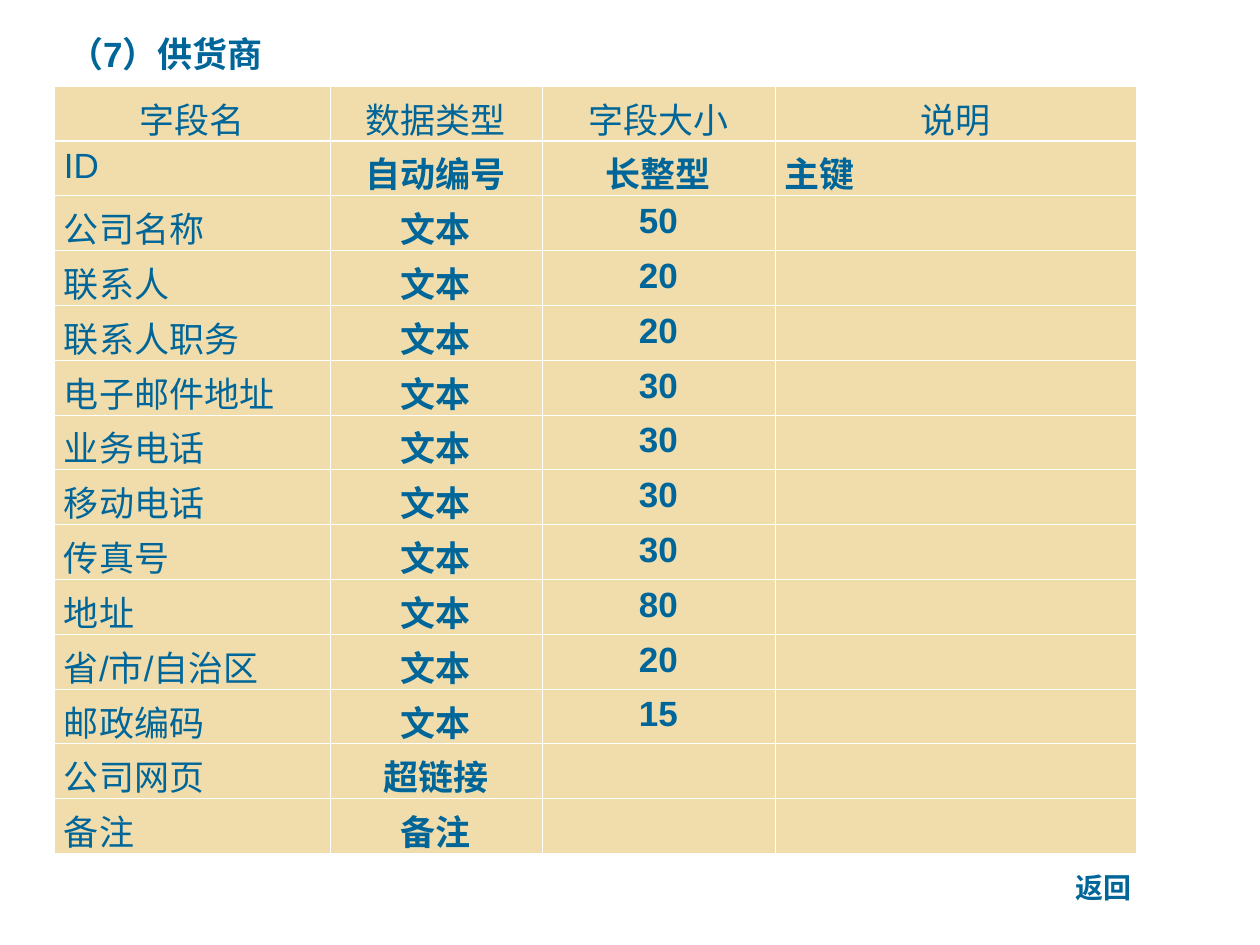
from dataclasses import dataclass

from lxml import etree
from pptx import Presentation
from pptx.dml.color import RGBColor
from pptx.enum.text import MSO_AUTO_SIZE, PP_ALIGN
from pptx.oxml.ns import qn
from pptx.util import Emu, Pt

CENTER, JUSTIFY = PP_ALIGN.CENTER, PP_ALIGN.JUSTIFY
FIT_SHAPE = MSO_AUTO_SIZE.SHAPE_TO_FIT_TEXT


@dataclass(frozen=True)
class Theme:
    font: str = "Arial"
    ink: str = "006699"
    cell: str = "F1DDAB"
    rule: str = "FFFFFF"
    body: int = 20
    small: int = 16
    thin: float = 0.45
    thick: float = 1.47


TITLE = "（7）供货商"
BACK = "返回"
HEADER = ("字段名", "数据类型", "字段大小", "说明")
FIELDS = [
    ("ID", "自动编号", "长整型", "主键"),
    ("公司名称", "文本", "50", ""),
    ("联系人", "文本", "20", ""),
    ("联系人职务", "文本", "20", ""),
    ("电子邮件地址", "文本", "30", ""),
    ("业务电话", "文本", "30", ""),
    ("移动电话", "文本", "30", ""),
    ("传真号", "文本", "30", ""),
    ("地址", "文本", "80", ""),
    ("省/市/自治区", "文本", "20", ""),
    ("邮政编码", "文本", "15", ""),
    ("公司网页", "超链接", "", ""),
    ("备注", "备注", "", ""),
]
COL_ALIGN = (JUSTIFY, CENTER, CENTER, JUSTIFY)
COL_BOLD = (False, True, True, True)

COL_WIDTHS = (276, 212, 233, 361)
TABLE_LEFT, TABLE_TOP, TABLE_HEIGHT = 54, 86, 768
CELL_PAD = 10
TITLE_BOX = (47, 26, 237, 55)
BACK_BOX = (1048, 864, 111, 47)

THEME = Theme()
SCALE = 914400 // 126


def px(n):
    return Emu(int(n * SCALE))


def add_text(tf, text, align, size, bold):
    p = tf.paragraphs[0]
    p.alignment = align
    r = p.add_run()
    r.text = text
    r.font.name = THEME.font
    r.font.size = Pt(size)
    r.font.bold = bold
    r.font.color.rgb = RGBColor.from_string(THEME.ink)


def add_label(s, box, text, size, wrap):
    tf = s.shapes.add_textbox(*map(px, box)).text_frame
    tf.word_wrap = wrap
    tf.auto_size = FIT_SHAPE
    add_text(tf, text, CENTER, size, True)


def set_borders(cell, top, bottom):
    tcPr = cell._tc.get_or_add_tcPr()
    widths = {"a:lnL": THEME.thin, "a:lnR": THEME.thin, "a:lnT": top, "a:lnB": bottom}
    for tag, width in widths.items():
        ln = etree.SubElement(tcPr, qn(tag), w=str(Pt(width)))
        fill = etree.SubElement(ln, qn("a:solidFill"))
        etree.SubElement(fill, qn("a:srgbClr"), val=THEME.rule)


def add_fields_table(s):
    rows = [HEADER] + FIELDS
    frame = s.shapes.add_table(
        len(rows), len(HEADER), px(TABLE_LEFT), px(TABLE_TOP),
        px(sum(COL_WIDTHS)), px(TABLE_HEIGHT))
    table = frame.table
    table.horz_banding = False
    for column, width in zip(table.columns, COL_WIDTHS):
        column.width = px(width)
    for i, values in enumerate(rows):
        table.rows[i].height = px(TABLE_HEIGHT / len(rows))
        top = THEME.thick if i == 1 else THEME.thin
        bottom = THEME.thick if i == 0 else THEME.thin
        for j, text in enumerate(values):
            cell = table.cell(i, j)
            cell.margin_left = cell.margin_right = px(CELL_PAD)
            set_borders(cell, top, bottom)
            cell.fill.solid()
            cell.fill.fore_color.rgb = RGBColor.from_string(THEME.cell)
            if text:
                align = CENTER if i == 0 else COL_ALIGN[j]
                bold = i > 0 and COL_BOLD[j]
                add_text(cell.text_frame, text, align, THEME.body, bold)


def main():
    prs = Presentation()
    prs.slide_width, prs.slide_height = px(1260), px(945)
    s = prs.slides.add_slide(prs.slide_layouts[6])
    add_label(s, BACK_BOX, BACK, THEME.small, True)
    add_label(s, TITLE_BOX, TITLE, THEME.body, False)
    add_fields_table(s)
    prs.save("out.pptx")


if __name__ == "__main__":
    main()
